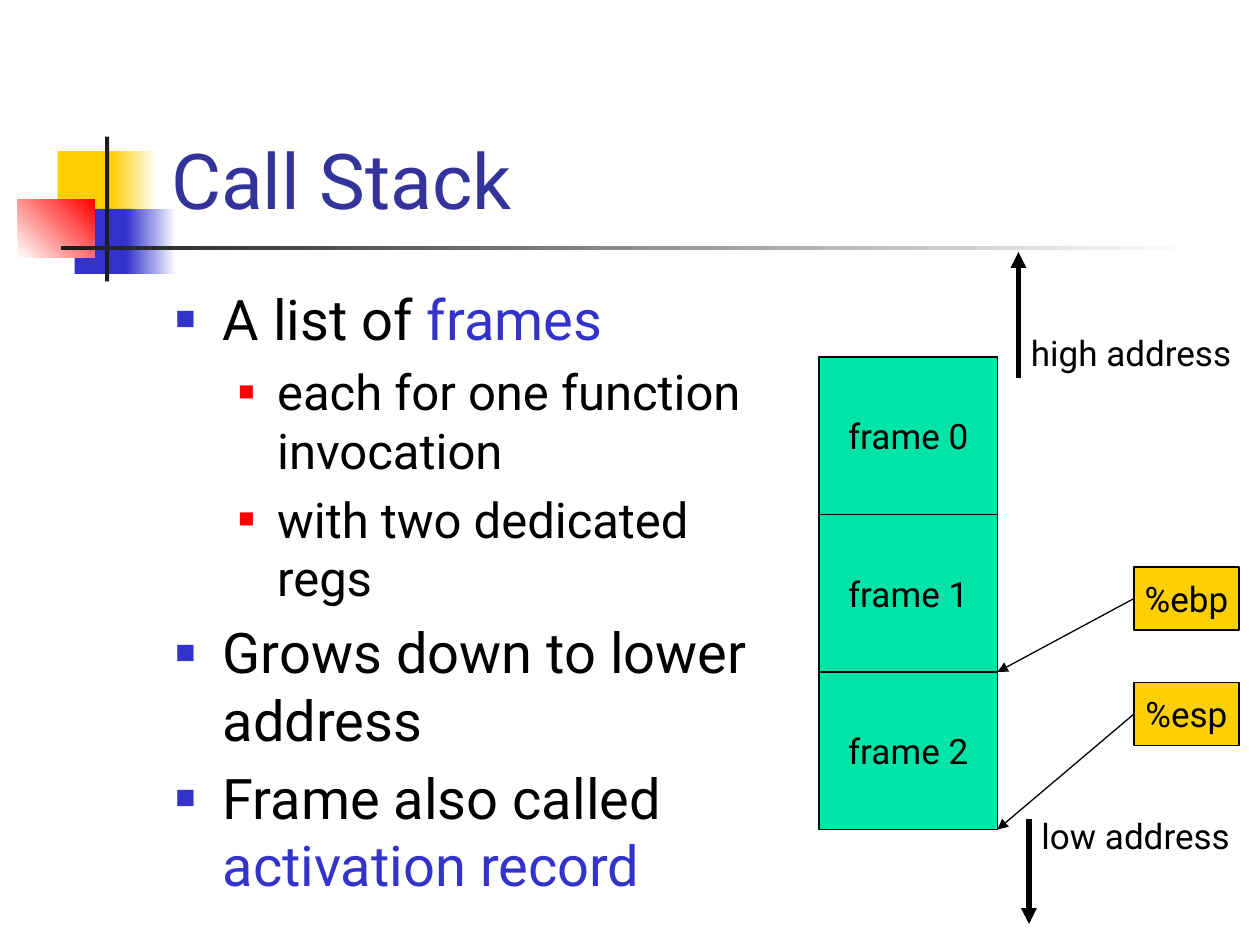
"""Build the Call Stack slide: bullets beside a stack frame diagram."""
from dataclasses import dataclass

from lxml.etree import SubElement
from pptx import Presentation
from pptx.dml.color import RGBColor
from pptx.enum.shapes import MSO_CONNECTOR as Connector, MSO_SHAPE as Preset
from pptx.enum.text import MSO_ANCHOR as Anchor, MSO_AUTO_SIZE as AutoSize, PP_ALIGN as Align
from pptx.oxml.ns import qn
from pptx.util import Emu, Pt


@dataclass(frozen=True)
class Theme:
    font: str = "Roboto"
    black: str = "000000"
    white: str = "FFFFFF"
    dark: str = "1C1C1C"
    navy: str = "333399"
    blue: str = "3333CC"
    red: str = "FF0000"
    gold: str = "FFCF01"
    green: str = "00E4A8"
    title_size: int = 44
    body_sizes: tuple = (32, 28)
    label_size: int = 20
    thin: float = 0.75
    thick: float = 3


THEME = Theme()
PX = 7620
SLIDE = (1200, 900)
TITLE = "Call Stack"
TITLE_BOX = (151, 28, 1022, 192)
BODY_BOX = (155, 265, 595, 540)
BULLETS = [
    (0, [("A list of ", THEME.black), ("frames", THEME.blue)]),
    (1, [("each for one function invocation", THEME.black)]),
    (1, [("with two dedicated regs", THEME.black)]),
    (0, [("Grows down to lower address", THEME.black)]),
    (0, [("Frame also called ", THEME.black), ("activation record", THEME.blue)]),
]
BULLET_LEVELS = [
    {"left": 45, "hang": 45, "color": THEME.blue, "percent": 60},
    {"left": 97, "hang": 37, "color": THEME.red, "percent": 55},
]
ORNAMENTS = [
    ((55, 144, 58, 62), [THEME.gold], 0),
    ((106, 144, 43, 62), [THEME.gold, THEME.white], 0),
    ((71, 199, 55, 62), [THEME.blue], 0),
    ((120, 199, 48, 62), [THEME.blue, THEME.white], 0),
    ((17, 190, 73, 55), [THEME.white, THEME.red], 45),
    ((100, 130, 4, 138), [THEME.dark], 0),
    ((58, 234, 1080, 4), [THEME.dark, THEME.white], 0),
]
FRAMES = ["frame 0", "frame 1", "frame 2"]
FRAME_LEFT, STACK_TOP, FRAME_W, FRAME_H = 780, 340, 170, 150
REGISTERS = [("%ebp", 540, 1), ("%esp", 650, 2)]
REGISTER_LEFT, REGISTER_W, REGISTER_H = 1080, 100, 60
DIRECTIONS = [
    ("high address", (970, 310, 220, 52), (970, 360), (970, 240)),
    ("low address", (980, 770, 220, 52), (980, 780), (980, 880)),
]


def px(*lengths):
    return [Emu(length * PX) for length in lengths]


def rgb(color):
    return RGBColor.from_string(color)


def write(paragraph, text, size=THEME.label_size, color=THEME.black, align=Align.LEFT):
    paragraph.alignment = align
    run = paragraph.add_run()
    run.text = text
    run.font.name = THEME.font
    run.font.size = Pt(size)
    run.font.color.rgb = rgb(color)


def add_block(shapes, box, colors, angle=0, text=None):
    block = shapes.add_shape(Preset.RECTANGLE, *px(*box))
    block.shadow.inherit = False
    if len(colors) == 1:
        block.fill.solid()
        block.fill.fore_color.rgb = rgb(colors[0])
    else:
        block.fill.gradient()
        block.fill.gradient_angle = angle
        for stop, color in zip(block.fill.gradient_stops, colors):
            stop.color.rgb = rgb(color)
    if text is None:
        block.line.fill.background()
        return
    block.line.color.rgb = rgb(THEME.black)
    block.line.width = Pt(THEME.thin)
    block.text_frame.word_wrap = False
    block.text_frame.vertical_anchor = Anchor.MIDDLE
    write(block.text_frame.paragraphs[0], text, align=Align.CENTER)


def add_arrow(shapes, start, end, width):
    arrow = shapes.add_connector(Connector.STRAIGHT, *px(*start, *end))
    arrow.line.color.rgb = rgb(THEME.black)
    arrow.line.width = Pt(width)
    properties = arrow.element.spPr
    SubElement(properties.find(qn("a:ln")), qn("a:tailEnd"), type="triangle")
    SubElement(properties, qn("a:effectLst"))


def set_bullet(paragraph, left, hang, color, percent):
    properties = paragraph._p.get_or_add_pPr()
    properties.set("marL", str(left * PX))
    properties.set("indent", str(-hang * PX))
    SubElement(SubElement(properties, qn("a:buClr")), qn("a:srgbClr"), val=color)
    SubElement(properties, qn("a:buSzPct"), val=str(percent * 1000))
    SubElement(properties, qn("a:buChar"), char="■")


def place(placeholder, box, anchor):
    placeholder.left, placeholder.top, placeholder.width, placeholder.height = px(*box)
    placeholder.text_frame.word_wrap = True
    placeholder.text_frame.auto_size = AutoSize.NONE
    placeholder.text_frame.vertical_anchor = anchor
    placeholder.element.getparent().append(placeholder.element)
    return placeholder.text_frame


def add_bullets(frame):
    for index, (level, runs) in enumerate(BULLETS):
        paragraph = frame.add_paragraph() if index else frame.paragraphs[0]
        paragraph.level = level
        set_bullet(paragraph, **BULLET_LEVELS[level])
        for text, color in runs:
            write(paragraph, text, size=THEME.body_sizes[level], color=color)


def add_stack(shapes):
    for index, name in enumerate(FRAMES):
        top = STACK_TOP + index * FRAME_H
        add_block(shapes, (FRAME_LEFT, top, FRAME_W, FRAME_H), [THEME.green], text=name)
    for name, top, frame_index in REGISTERS:
        add_block(shapes, (REGISTER_LEFT, top, REGISTER_W, REGISTER_H), [THEME.gold], text=name)
        frame_bottom = STACK_TOP + (frame_index + 1) * FRAME_H
        add_arrow(shapes, (REGISTER_LEFT, top + REGISTER_H // 2),
                  (FRAME_LEFT + FRAME_W, frame_bottom), THEME.thin)


def add_directions(shapes):
    for text, box, start, end in DIRECTIONS:
        label = shapes.add_textbox(*px(*box)).text_frame
        label.word_wrap = True
        label.auto_size = AutoSize.SHAPE_TO_FIT_TEXT
        write(label.paragraphs[0], text)
        add_arrow(shapes, start, end, THEME.thick)


def main():
    deck = Presentation()
    deck.slide_width, deck.slide_height = px(*SLIDE)
    slide = deck.slides.add_slide(deck.slide_layouts[1])
    shapes = slide.shapes
    heading, body = shapes.title, slide.placeholders[1]
    for box, colors, angle in ORNAMENTS:
        add_block(shapes, box, colors, angle)
    title_frame = place(heading, TITLE_BOX, Anchor.BOTTOM)
    write(title_frame.paragraphs[0], TITLE, size=THEME.title_size, color=THEME.navy)
    add_bullets(place(body, BODY_BOX, Anchor.TOP))
    add_stack(shapes)
    add_directions(shapes)
    deck.save("out.pptx")


if __name__ == "__main__":
    main()
